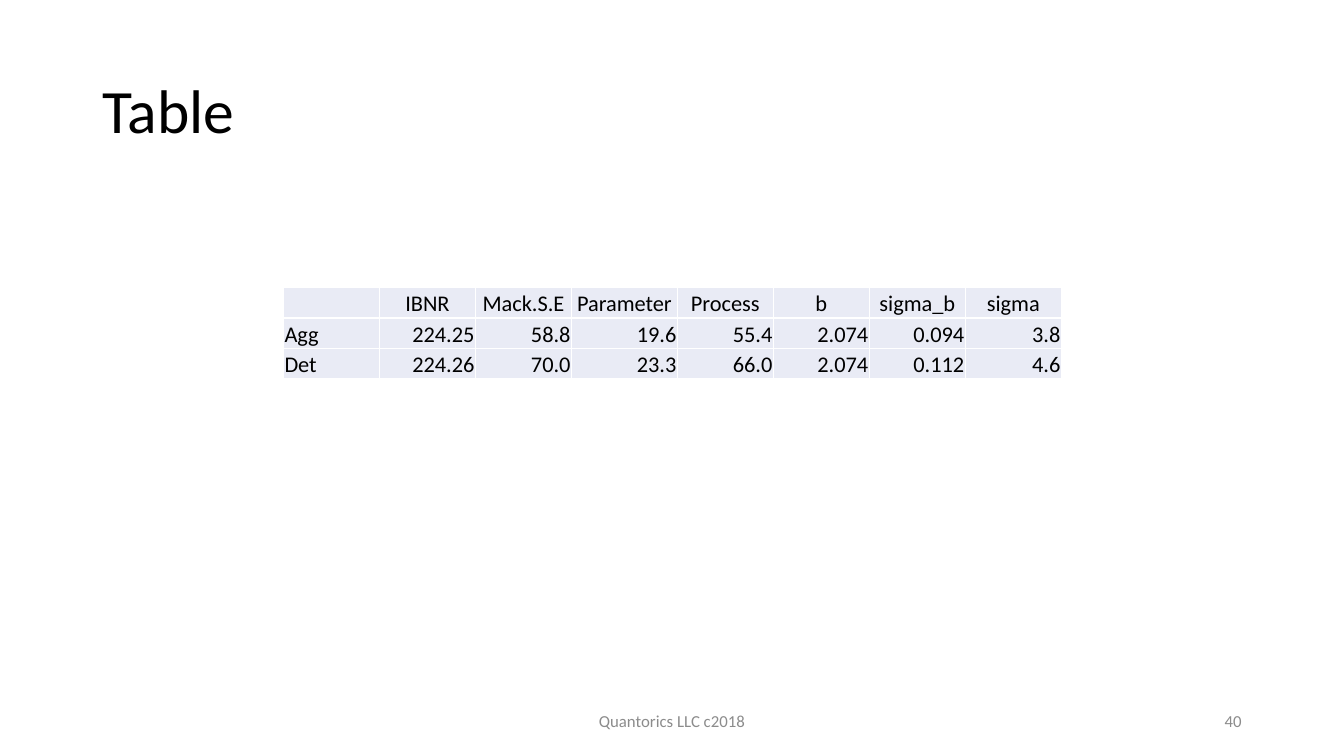
from dataclasses import dataclass

from lxml.etree import SubElement
from pptx import Presentation
from pptx.dml.color import RGBColor
from pptx.enum.text import MSO_ANCHOR, MSO_AUTO_SIZE, PP_ALIGN
from pptx.oxml.ns import qn
from pptx.util import Emu, Inches, Pt

FONT = "Calibri"
HUES = {"ink": "000000", "note": "8C8C8C", "cell": "E9EBF5", "rule": "FFFFFF"}

# Grid of 160 columns by 90 rows
WIDE, HIGH = Inches(13.333), Inches(7.5)
COLS, ROWS = 160, 90

DATA = (
    ("", "IBNR", "Mack.S.E", "Parameter", "Process", "b", "sigma_b", "sigma"),
    ("Agg", "224.25", "58.8", "19.6", "55.4", "2.074", "0.094", "3.8"),
    ("Det", "224.26", "70.0", "23.3", "66.0", "2.074", "0.112", "4.6"),
)
SPANS = [12.6 if name == "Parameter" else 11.43 for name in DATA[0]]
ROW = 3.6


@dataclass(frozen=True)
class Box:
    col: float
    row: float
    cols: float
    rows: float

    def rect(self) -> tuple[Emu, Emu, Emu, Emu]:
        return across(self.col), down(self.row), across(self.cols), down(self.rows)


@dataclass(frozen=True)
class Note:
    text: str
    box: Box
    align: PP_ALIGN


NOTES = (
    Note("Quantorics LLC c2018", Box(53, 83.4, 54, 4.8), PP_ALIGN.CENTER),
    Note("40", Box(113, 83.4, 36, 4.8), PP_ALIGN.RIGHT),
)


def across(cols: float) -> Emu:
    return Emu(round(WIDE * cols / COLS))


def down(rows: float) -> Emu:
    return Emu(round(HIGH * rows / ROWS))


def style(para, size: float, hue: str, align: PP_ALIGN) -> None:
    para.alignment = align
    para.font.name = FONT
    para.font.size = Pt(size)
    para.font.color.rgb = RGBColor.from_string(HUES[hue])


def add_title(slide, text: str, box: Box) -> None:
    title = slide.shapes.title
    title.left, title.top, title.width, title.height = box.rect()
    frame = title.text_frame
    frame.text = text
    frame.auto_size = MSO_AUTO_SIZE.NONE
    frame.vertical_anchor = MSO_ANCHOR.MIDDLE
    para = frame.paragraphs[0]
    para.line_spacing = 0.9
    style(para, 44, "ink", PP_ALIGN.LEFT)


def add_note(slide, note: Note) -> None:
    frame = slide.shapes.add_textbox(*note.box.rect()).text_frame
    frame.word_wrap = True
    frame.vertical_anchor = MSO_ANCHOR.MIDDLE
    frame.text = note.text
    style(frame.paragraphs[0], 12, "note", note.align)


def fill_cell(cell, text: str, align: PP_ALIGN) -> None:
    cell.text = text
    cell.vertical_anchor = MSO_ANCHOR.BOTTOM
    cell.margin_left = cell.margin_right = cell.margin_top = Inches(0.01)
    cell.margin_bottom = 0
    style(cell.text_frame.paragraphs[0], 16, "ink", align)
    # Borders come before the fill in the cell's properties
    props = cell._tc.get_or_add_tcPr()
    for side in ("lnL", "lnR", "lnT", "lnB"):
        line = SubElement(props, qn(f"a:{side}"), w=str(Pt(1)))
        paint = SubElement(line, qn("a:solidFill"))
        SubElement(paint, qn("a:srgbClr"), val=HUES["rule"])
    cell.fill.solid()
    cell.fill.fore_color.rgb = RGBColor.from_string(HUES["cell"])


def add_grid(slide, col: float, row: float) -> None:
    box = Box(col, row, sum(SPANS), ROW * len(DATA))
    table = slide.shapes.add_table(len(DATA), len(SPANS), *box.rect()).table
    table.first_row = table.horz_banding = False
    for column, span in zip(table.columns, SPANS):
        column.width = across(span)
    for y, line in enumerate(DATA):
        table.rows[y].height = down(ROW)
        for x, text in enumerate(line):
            if y == 0:
                align = PP_ALIGN.CENTER
            else:
                align = PP_ALIGN.RIGHT if x else PP_ALIGN.LEFT
            fill_cell(table.cell(y, x), text, align)


def main() -> None:
    deck = Presentation()
    deck.slide_width, deck.slide_height = WIDE, HIGH
    slide = deck.slides.add_slide(deck.slide_layouts.get_by_name("Title Only"))

    # Title, table and footer
    add_title(slide, "Table", Box(11, 4.8, 138, 17.4))
    add_grid(slide, 33.75, 34.25)
    for note in NOTES:
        add_note(slide, note)

    deck.save("out.pptx")


if __name__ == "__main__":
    main()
